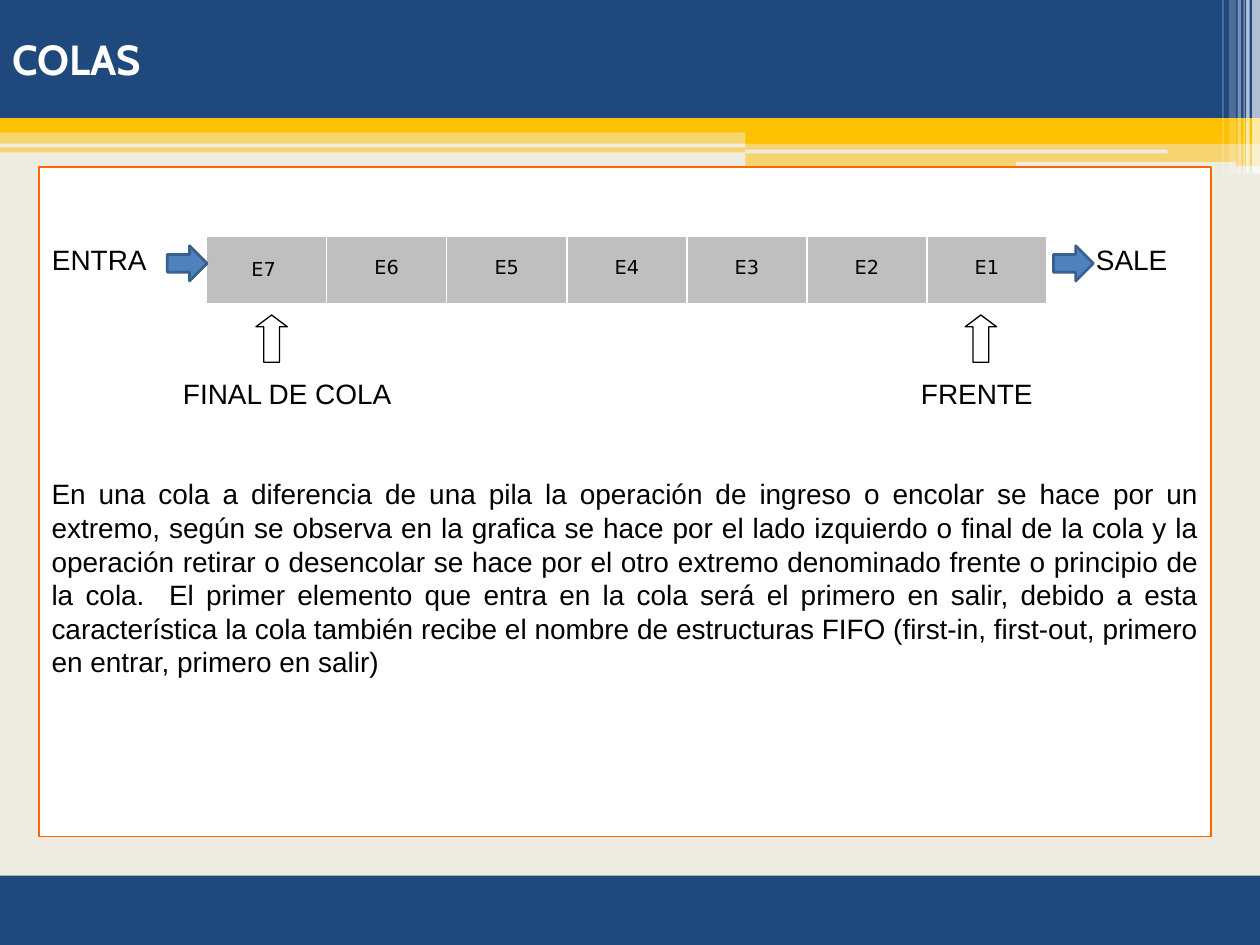
"""Build the slide that explains a queue and its two ends."""
from lxml.etree import SubElement
from pptx import Presentation
from pptx.dml.color import RGBColor
from pptx.enum.shapes import MSO_SHAPE
from pptx.enum.text import MSO_ANCHOR, PP_ALIGN
from pptx.oxml.ns import qn
from pptx.util import Pt

NAVY = RGBColor(0x1F, 0x49, 0x7D)
GOLD = RGBColor(0xFF, 0xC0, 0x00)
CREAM = RGBColor(0xEE, 0xEC, 0xE1)
WHITE = RGBColor(0xFF, 0xFF, 0xFF)
BLACK = RGBColor(0x00, 0x00, 0x00)
ORANGE = RGBColor(0xFF, 0x66, 0x00)
GREY = RGBColor(0xBF, 0xBF, 0xBF)
BLUE = RGBColor(0x4F, 0x81, 0xBD)
DARK_BLUE = RGBColor(0x3A, 0x5F, 0x8C)

TITLE = "COLAS"
BODY = (
    "En una cola a diferencia de una pila la operación de ingreso o encolar se hace "
    "por un extremo, según se observa en la grafica se hace por el lado izquierdo o "
    "final de la cola y la operación retirar o desencolar se hace por el otro extremo "
    "denominado frente o principio de la cola.  El primer elemento que entra en la cola "
    "será el primero en salir, debido a esta característica la cola también recibe el "
    "nombre de estructuras FIFO (first-in, first-out, primero en entrar, primero en salir)"
)
QUEUE = ["E7 ", "E6", "E5", "E4", "E3", "E2", "E1"]
LABELS = [
    ("ENTRA", 29.7, 138.4, 60),
    ("SALE", 626.3, 138.4, 50),
    ("FINAL DE COLA", 104.6, 215, 130),
    ("FRENTE", 526.3, 215, 75),
]
RECT, ROUND = MSO_SHAPE.RECTANGLE, MSO_SHAPE.ROUNDED_RECTANGLE
BANDS = [
    (RECT, 0, 500.4, 720, 39.6, NAVY, 100),
    (RECT, 0, 84.2, 426.6, 2.9, GOLD, 50),
    (RECT, 0, 75.6, 720, 6.5, GOLD, 50),
    (RECT, 0, 0, 720, 67.6, NAVY, 100),
    (RECT, 0, 67.5, 720, 8.4, GOLD, 100),
    (RECT, 426, 74.9, 294, 7.2, GOLD, 100),
    (RECT, 426, 80.6, 294, 14.4, GOLD, 50),
    (ROUND, 580.5, 92.7, 126, 2.6, CREAM, 100),
]
STRIPES = [
    (715.5, 4.5, 65), (712.1, 2, 65), (710.6, 0.7, 60),
    (707.2, 2, 40), (702.2, 4, 20), (698.5, 0.7, 30),
]
BANDS += [(RECT, x, 0, w, 99.2, WHITE, alpha) for x, w, alpha in STRIPES]
BANDS.append((ROUND, 425.7, 85.5, 241.4, 2.2, CREAM, 100))
ARROWS = [
    (MSO_SHAPE.UP_ARROW, 146.2, 180, 18, 27, WHITE, BLACK, 0.75),
    (MSO_SHAPE.UP_ARROW, 551.5, 180, 18, 27, WHITE, BLACK, 0.75),
    (MSO_SHAPE.RIGHT_ARROW, 95.6, 140.4, 22.8, 20.2, BLUE, DARK_BLUE, 1.5),
    (MSO_SHAPE.RIGHT_ARROW, 602, 140.4, 22.8, 20.2, BLUE, DARK_BLUE, 1.5),
]
BORDERS = {"a:lnL": 1, "a:lnR": 1, "a:lnT": 1, "a:lnB": 3}
TEXT = {"size": Pt(16), "name": "Arial", "bold": False}
HEADING = {"size": Pt(24), "name": "Cabin", "bold": True}
CELL = {"size": Pt(11), "name": "DejaVu Sans", "bold": False}


def set_attrs(obj, values):
    for name, value in values.items():
        setattr(obj, name, value)


def add_shape(slide, kind, x, y, w, h, fill, line=None, width=0, alpha=100):
    sp = slide.shapes.add_shape(kind, Pt(x), Pt(y), Pt(w), Pt(h))
    sp.shadow.inherit = False
    sp.fill.solid()
    sp.fill.fore_color.rgb = fill
    if line is None:
        sp.line.fill.background()
    else:
        sp.line.color.rgb = line
        sp.line.width = Pt(width)
    if alpha < 100:
        color = sp.fill._xPr.find(".//" + qn("a:srgbClr"))
        SubElement(color, qn("a:alpha"), val=str(alpha * 1000))
    return sp


def write(tf, text, font, color, align, spacing=None, **frame):
    set_attrs(tf, {"word_wrap": True, "vertical_anchor": MSO_ANCHOR.TOP, **frame})
    p = tf.paragraphs[0]
    set_attrs(p, {"alignment": align, "line_spacing": spacing})
    r = p.add_run()
    r.text = text
    set_attrs(r.font, font)
    r.font.color.rgb = color


def add_label(slide, text, x, y, w, h, font, color, spacing=None, **frame):
    tf = slide.shapes.add_textbox(Pt(x), Pt(y), Pt(w), Pt(h)).text_frame
    write(tf, text, font, color, PP_ALIGN.LEFT, spacing, **frame)


def add_queue(slide):
    frame = slide.shapes.add_table(1, len(QUEUE), Pt(118.1), Pt(134.9), Pt(480.2), Pt(39.6))
    table = frame.table
    set_attrs(table, {"first_row": False, "horz_banding": False})
    for column in table.columns:
        column.width = Pt(68.6)
    for i, text in enumerate(QUEUE):
        cell = table.cell(0, i)
        top = 11.6 if i else 12.8
        set_attrs(cell, {"margin_left": Pt(5), "margin_right": Pt(5),
                         "margin_top": Pt(top), "margin_bottom": 0})
        write(cell.text_frame, text, CELL, BLACK, PP_ALIGN.CENTER)
        props = cell._tc.get_or_add_tcPr()
        for tag, width in BORDERS.items():
            line = SubElement(props, qn(tag), w=str(Pt(width)))
            fill = SubElement(line, qn("a:solidFill"))
            SubElement(fill, qn("a:srgbClr"), val=str(WHITE))
        cell.fill.solid()
        cell.fill.fore_color.rgb = GREY


def main():
    prs = Presentation()
    set_attrs(prs, {"slide_width": Pt(720), "slide_height": Pt(540)})
    slide = prs.slides.add_slide(prs.slide_layouts[6])
    slide.background.fill.solid()
    slide.background.fill.fore_color.rgb = CREAM
    for *place, fill, alpha in BANDS:
        add_shape(slide, *place, fill, alpha=alpha)
    add_label(slide, TITLE, 0, 0, 697.7, 67.6, HEADING, WHITE,
              vertical_anchor=MSO_ANCHOR.MIDDLE)
    panel = add_shape(slide, RECT, 22.4, 95.6, 669.6, 382.4, WHITE, ORANGE, 1)
    write(panel.text_frame, BODY, TEXT, BLACK, PP_ALIGN.JUSTIFY, Pt(19.2),
          margin_top=Pt(177))
    no_margins = dict.fromkeys(
        ["margin_left", "margin_top", "margin_right", "margin_bottom"], 0)
    for text, x, y, w in LABELS:
        add_label(slide, text, x, y, w, 19.2, TEXT, BLACK, Pt(19.2), **no_margins)
    add_queue(slide)
    for arrow in ARROWS:
        sp = add_shape(slide, *arrow)
        if arrow[0] == MSO_SHAPE.UP_ARROW:
            sp.adjustments[1] = 0.375
    prs.save("out.pptx")


if __name__ == "__main__":
    main()
